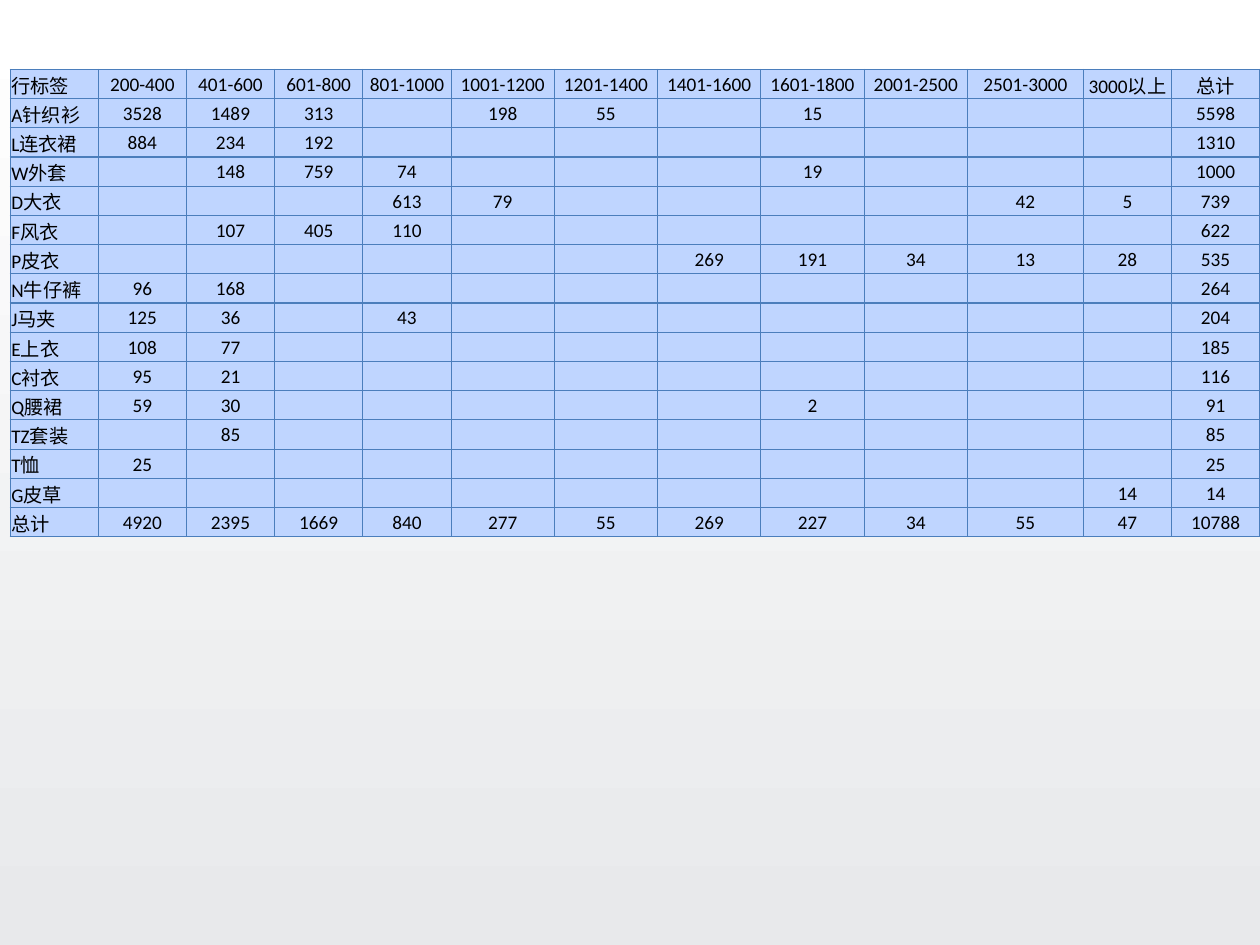
from dataclasses import dataclass

from lxml import etree
from pptx import Presentation
from pptx import util as u
from pptx.dml.color import RGBColor
from pptx.enum import text
from pptx.oxml.ns import qn

WHITE = RGBColor(0xFF, 0xFF, 0xFF)
GREY = RGBColor(0xE8, 0xE9, 0xEB)
BLUE = RGBColor(0xBF, 0xD5, 0xFF)
BORDER = RGBColor(0x4B, 0x7E, 0xBC)
BLACK = RGBColor(0, 0, 0)

FONT = {"size": u.Pt(11), "name": "Calibri"}
CELL = {
    "margin_left": u.Inches(0.01),
    "margin_right": u.Inches(0.01),
    "margin_top": u.Inches(0.01),
    "margin_bottom": 0,
    "vertical_anchor": text.MSO_ANCHOR.MIDDLE,
}
TABLE_FLAGS = {"first_row": False, "horz_banding": False}

NARROW, MEDIUM, WIDE = 0.7, 0.82, 0.92
COLUMNS = [NARROW] * 5 + [MEDIUM] * 5 + [WIDE] + [NARROW] * 2
LEFT, TOP, HEIGHT = 0.08, 0.55, 3.09


@dataclass
class Row:
    label: str
    values: dict[int, str | int]


HEADINGS = [
    "200-400", "401-600", "601-800", "801-1000", "1001-1200", "1201-1400",
    "1401-1600", "1601-1800", "2001-2500", "2501-3000", "3000以上", "总计",
]
TOTALS = [4920, 2395, 1669, 840, 277, 55, 269, 227, 34, 55, 47, 10788]
ROWS = [
    Row("行标签", dict(enumerate(HEADINGS, 1))),
    Row("A针织衫", {1: 3528, 2: 1489, 3: 313, 5: 198, 6: 55, 8: 15, 12: 5598}),
    Row("L连衣裙", {1: 884, 2: 234, 3: 192, 12: 1310}),
    Row("W外套", {2: 148, 3: 759, 4: 74, 8: 19, 12: 1000}),
    Row("D大衣", {4: 613, 5: 79, 10: 42, 11: 5, 12: 739}),
    Row("F风衣", {2: 107, 3: 405, 4: 110, 12: 622}),
    Row("P皮衣", {7: 269, 8: 191, 9: 34, 10: 13, 11: 28, 12: 535}),
    Row("N牛仔裤", {1: 96, 2: 168, 12: 264}),
    Row("J马夹", {1: 125, 2: 36, 4: 43, 12: 204}),
    Row("E上衣", {1: 108, 2: 77, 12: 185}),
    Row("C衬衣", {1: 95, 2: 21, 12: 116}),
    Row("Q腰裙", {1: 59, 2: 30, 8: 2, 12: 91}),
    Row("TZ套装", {2: 85, 12: 85}),
    Row("T恤", {1: 25, 12: 25}),
    Row("G皮草", {11: 14, 12: 14}),
    Row("总计", dict(enumerate(TOTALS, 1))),
]


def apply(target, formats: dict) -> None:
    for name, value in formats.items():
        setattr(target, name, value)


def add_borders(cell) -> None:
    tc_pr = cell._tc.get_or_add_tcPr()
    for side in ("a:lnL", "a:lnR", "a:lnT", "a:lnB"):
        ln = etree.SubElement(tc_pr, qn(side), w=str(u.Pt(0.75)))
        fill = etree.SubElement(ln, qn("a:solidFill"))
        etree.SubElement(fill, qn("a:srgbClr"), val=str(BORDER))


def fill_cell(cell, value: str, align) -> None:
    apply(cell, CELL)
    add_borders(cell)
    cell.fill.solid()
    cell.fill.fore_color.rgb = BLUE
    p = cell.text_frame.paragraphs[0]
    p.alignment = align
    if value:
        r = p.add_run()
        r.text = value
        apply(r.font, FONT)
        r.font.color.rgb = BLACK
    else:
        etree.SubElement(p._p, qn("a:endParaRPr"), sz=str(int(FONT["size"].pt * 100)))


def add_price_table(s, rows: list[Row]) -> None:
    frame = s.shapes.add_table(
        len(rows), len(COLUMNS), u.Inches(LEFT), u.Inches(TOP),
        u.Inches(sum(COLUMNS)), u.Inches(HEIGHT),
    )
    table = frame.table
    apply(table, TABLE_FLAGS)
    for column, width in zip(table.columns, COLUMNS):
        column.width = u.Inches(width)
    for i, row in enumerate(rows):
        fill_cell(table.cell(i, 0), row.label, text.PP_ALIGN.LEFT)
        for j in range(1, len(COLUMNS)):
            value = str(row.values.get(j, ""))
            fill_cell(table.cell(i, j), value, text.PP_ALIGN.CENTER)


def set_background(s) -> None:
    fill = s.background.fill
    fill.gradient()
    fill.gradient_angle = 270
    for stop, color, position in zip(fill.gradient_stops, (WHITE, GREY), (0, 1)):
        stop.color.rgb = color
        stop.position = position


def main() -> None:
    prs = Presentation()
    apply(prs, {"slide_width": u.Inches(10), "slide_height": u.Inches(7.5)})
    s = prs.slides.add_slide(prs.slide_layouts[6])
    set_background(s)
    add_price_table(s, ROWS)
    prs.save("out.pptx")


if __name__ == "__main__":
    main()
